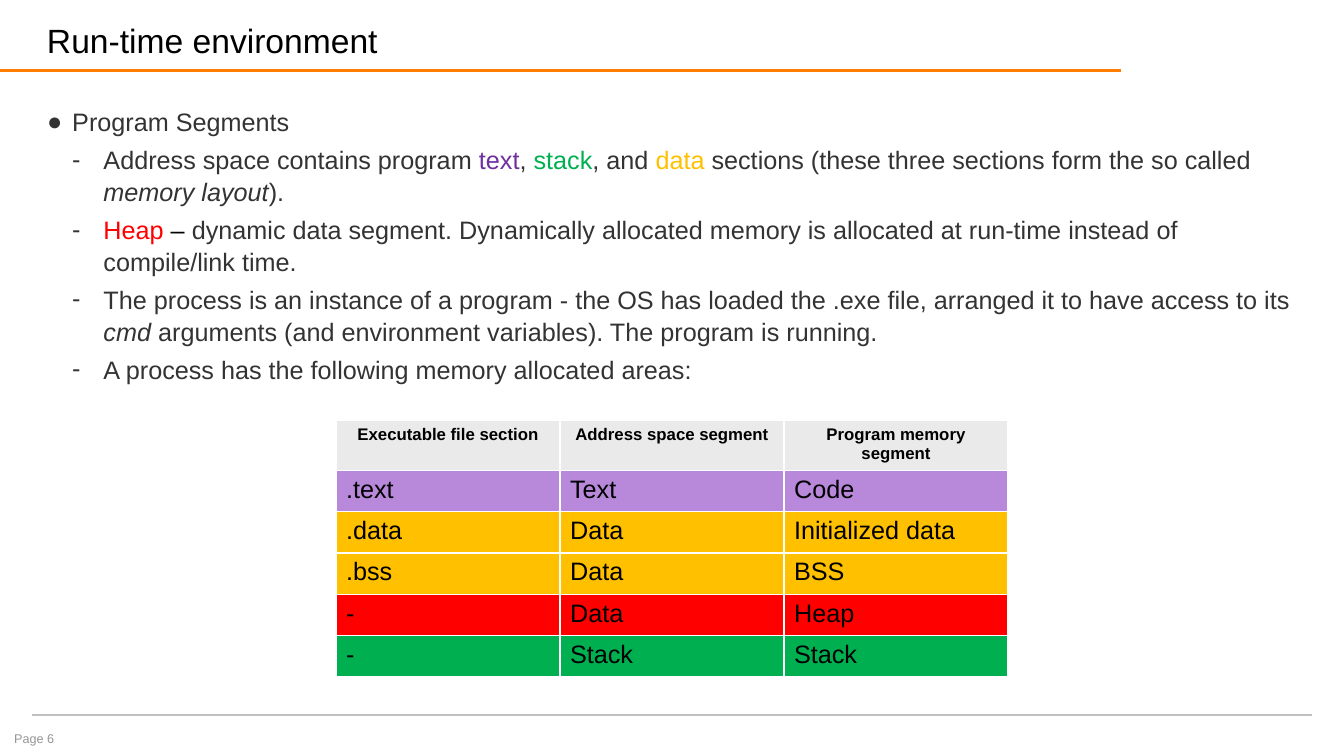
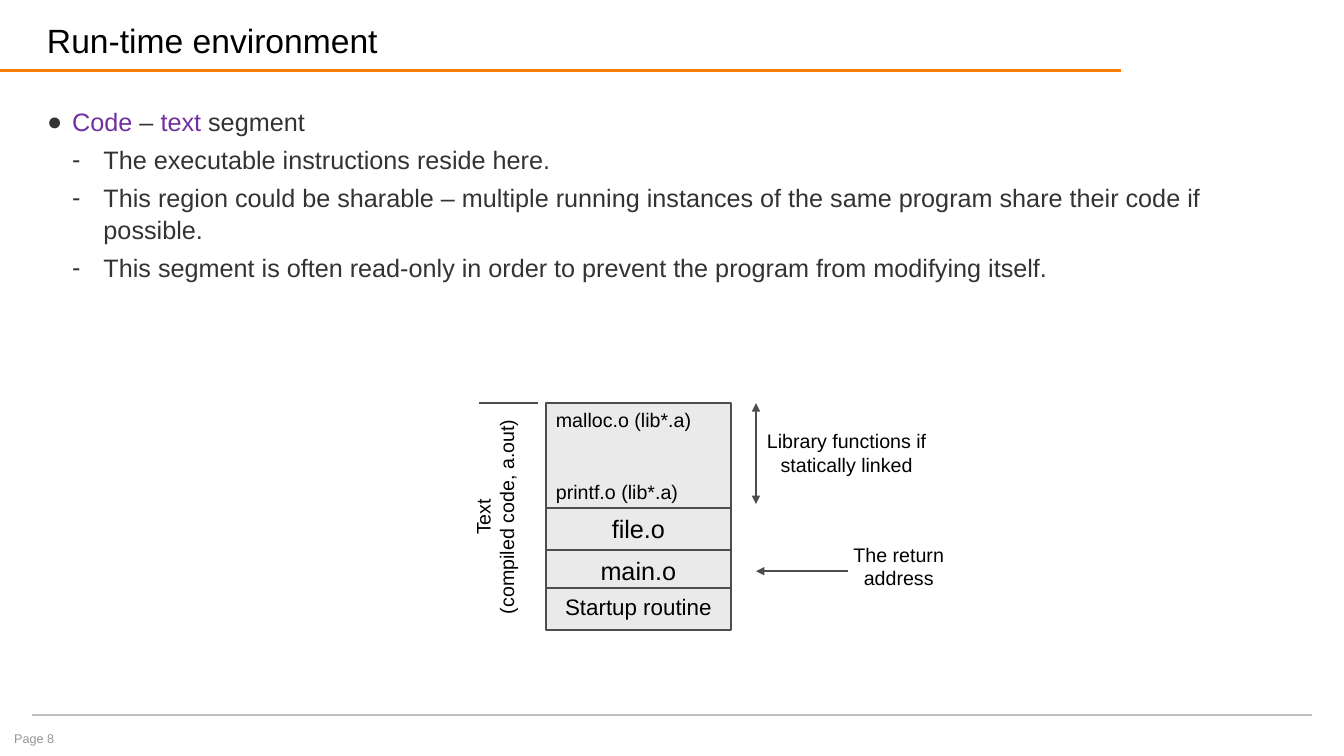
from lxml import etree
from pptx import Presentation, util as u
from pptx.dml.color import RGBColor
from pptx.enum import shapes, text
from pptx.oxml.ns import qn

WIDTH, HEIGHT = 13.33, 7.5
COL, ROW = WIDTH / 16, HEIGHT / 18
FONT = "Arial"
BLACK, BODY, MUTED = "000000", "333333", "969696"
ORANGE, RULE, OUTLINE, PANEL = "FF7D00", "C0C0C0", "4D4D4D", "EAEAEA"
PURPLE, LILAC, GREEN, AMBER, RED = "7030A0", "B889DB", "00B050", "FFC000", "FF0000"
LEFT, CENTER = text.PP_ALIGN.LEFT, text.PP_ALIGN.CENTER
TOP, BOTTOM = text.MSO_ANCHOR.TOP, text.MSO_ANCHOR.BOTTOM


def rgb(value):
    return RGBColor.from_string(value)


def cols(count):
    return u.Inches(count * COL)


def rows(count):
    return u.Inches(count * ROW)


def grid(left, top, width, height):
    return cols(left), rows(top), cols(width), rows(height)


def write(frame, paragraphs, size=18, color=BLACK, bold=False, align=LEFT,
          anchor=TOP, inset=None, gap=0, leading=None):
    frame.word_wrap = True
    frame.vertical_anchor = anchor
    if inset is not None:
        frame.margin_left = frame.margin_right = u.Inches(inset)
        frame.margin_top = frame.margin_bottom = u.Inches(inset)
    for index, content in enumerate(paragraphs):
        paragraph = frame.paragraphs[0] if index == 0 else frame.add_paragraph()
        paragraph.alignment = align
        paragraph.space_before = u.Pt(gap if index else 0)
        if leading:
            paragraph.line_spacing = leading
        for part in [content] if isinstance(content, str) else content:
            words, tint, italic = (part, color, False) if isinstance(part, str) else part
            run = paragraph.add_run()
            run.text = words
            run.font.name = FONT
            run.font.size = u.Pt(size)
            run.font.bold = bold
            run.font.italic = italic
            run.font.color.rgb = rgb(tint)


def label(slide, place, paragraphs, rotation=0, **style):
    caption = slide.shapes.add_textbox(*grid(*place))
    caption.rotation = rotation
    write(caption.text_frame, paragraphs, **style)
    return caption


def line(slide, start, end, color=OUTLINE, width=1.25, heads=()):
    rule = slide.shapes.add_connector(
        shapes.MSO_CONNECTOR.STRAIGHT,
        cols(start[0]), rows(start[1]), cols(end[0]), rows(end[1]))
    rule.line.color.rgb = rgb(color)
    rule.line.width = u.Pt(width)
    stroke = rule.line._get_or_add_ln()
    for head in heads:
        etree.SubElement(stroke, qn(f"a:{head}"), type="triangle")
    etree.SubElement(rule._element.spPr, qn("a:effectLst"))


def bullet(paragraph, mark, margin, hang):
    properties = paragraph._p.get_or_add_pPr()
    properties.set("marL", str(u.Inches(margin)))
    properties.set("indent", str(-u.Inches(hang)))
    tint = etree.SubElement(properties, qn("a:buClr"))
    etree.SubElement(tint, qn("a:srgbClr"), val=BODY)
    etree.SubElement(properties, qn("a:buFont"), typeface=FONT)
    etree.SubElement(properties, qn("a:buChar"), char=mark)


def outline(slide, paragraphs):
    body = label(slide, (0.56, 2.5, 14.87, 13.85), paragraphs, color=BODY,
                 inset=0, gap=4.5, leading=1.05)
    topic, *details = body.text_frame.paragraphs
    bullet(topic, "●", 0.25, 0.25)
    for detail in details:
        bullet(detail, "-", 0.56, 0.31)


def segment(slide, top, height, paragraphs, **style):
    block = slide.shapes.add_shape(
        shapes.MSO_SHAPE.RECTANGLE, *grid(6.5, top, 2.2, height))
    block.shadow.inherit = False
    block.fill.solid()
    block.fill.fore_color.rgb = rgb(PANEL)
    block.line.color.rgb = rgb(OUTLINE)
    block.line.width = u.Pt(1.25)
    write(block.text_frame, paragraphs, **style)


def memory_table(slide, header, areas):
    table = slide.shapes.add_table(
        len(areas) + 1, len(header), *grid(4, 10, 8, 6.07)).table
    heights = [0.48] + [0.41] * len(areas)
    for row, height in zip(table.rows, heights):
        row.height = u.Inches(height)
    for index, (fill, *names) in enumerate([(PANEL, *header), *areas]):
        style = {} if index else {"size": 12, "bold": True, "align": CENTER}
        for cell, name in zip(table.rows[index].cells, names):
            cell.fill.solid()
            cell.fill.fore_color.rgb = rgb(fill)
            write(cell.text_frame, [name], **style)


def add_page(deck, number):
    slide = deck.slides.add_slide(deck.slide_layouts[6])
    line(slide, (0, 1.68), (13.34, 1.68), ORANGE, 2.25)
    line(slide, (0.38, 17.02), (15.62, 17.02), RULE, 1.5)
    label(slide, (0.56, 0.31, 12.78, 1.13), ["Run-time environment"],
          size=24, anchor=BOTTOM, inset=0)
    label(slide, (0.05, 17.28, 1.92, 0.72), [f"Page {number}"], size=9, color=MUTED)
    return slide


def program_segments(deck):
    slide = add_page(deck, 6)
    outline(slide, [
        "Program Segments",
        ["Address space contains program ", ("text", PURPLE, False), ", ",
         ("stack", GREEN, False), ", and ", ("data", AMBER, False),
         " sections (these three sections form the so called ",
         ("memory layout", BODY, True), ")."],
        [("Heap ", RED, False), ("– ", BLACK, False),
         "dynamic data segment. Dynamically allocated memory is allocated "
         "at run-time instead of compile/link time."],
        ["The process is an instance of a program - the OS has loaded the .exe file, "
         "arranged it to have access to its ", ("cmd", BODY, True),
         " arguments (and environment variables). The program is running."],
        "A process has the following memory allocated areas:",
    ])
    memory_table(
        slide,
        ("Executable file section", "Address space segment", "Program memory segment"),
        [(LILAC, ".text", "Text", "Code"),
         (AMBER, ".data", "Data", "Initialized data"),
         (AMBER, ".bss", "Data", "BSS"),
         (RED, "-", "Data", "Heap"),
         (GREEN, "-", "Stack", "Stack")])


def text_segment(deck):
    slide = add_page(deck, 8)
    outline(slide, [
        [("Code", PURPLE, False), " – ", ("text", PURPLE, False), " segment"],
        "The executable instructions reside here.",
        "This region could be sharable – multiple running instances of the same "
        "program share their code if possible.",
        "This segment is often read-only in order to prevent the program "
        "from modifying itself.",
    ])
    segment(slide, 9.6, 2.5, ["malloc.o (lib*.a)", "printf.o (lib*.a)"],
            size=14, gap=34.5)
    for top, name, size in ((12.1, "file.o", 18), (13.1, "main.o", 18),
                            (14, "Startup routine", 16)):
        segment(slide, top, 1, [name], size=size, align=CENTER)
    line(slide, (5.7, 9.6), (6.4, 9.6))
    line(slide, (9, 9.6), (9, 12), heads=("headEnd", "tailEnd"))
    line(slide, (10.1, 13.6), (9, 13.6), heads=("tailEnd",))
    for place, paragraphs, rotation in (
            ((4.14, 11.62, 3.5, 1.37), ["Text", "(compiled code, a.out)"], 270),
            ((8.78, 10.1, 2.6, 1.37), ["Library functions if statically linked"], 0),
            ((9.9, 12.8, 1.6, 1.37), ["The return address"], 0)):
        label(slide, place, paragraphs, rotation, size=14, align=CENTER)


def main():
    deck = Presentation()
    deck.slide_width, deck.slide_height = u.Inches(WIDTH), u.Inches(HEIGHT)
    program_segments(deck)
    text_segment(deck)
    deck.save("out.pptx")


if __name__ == "__main__":
    main()
